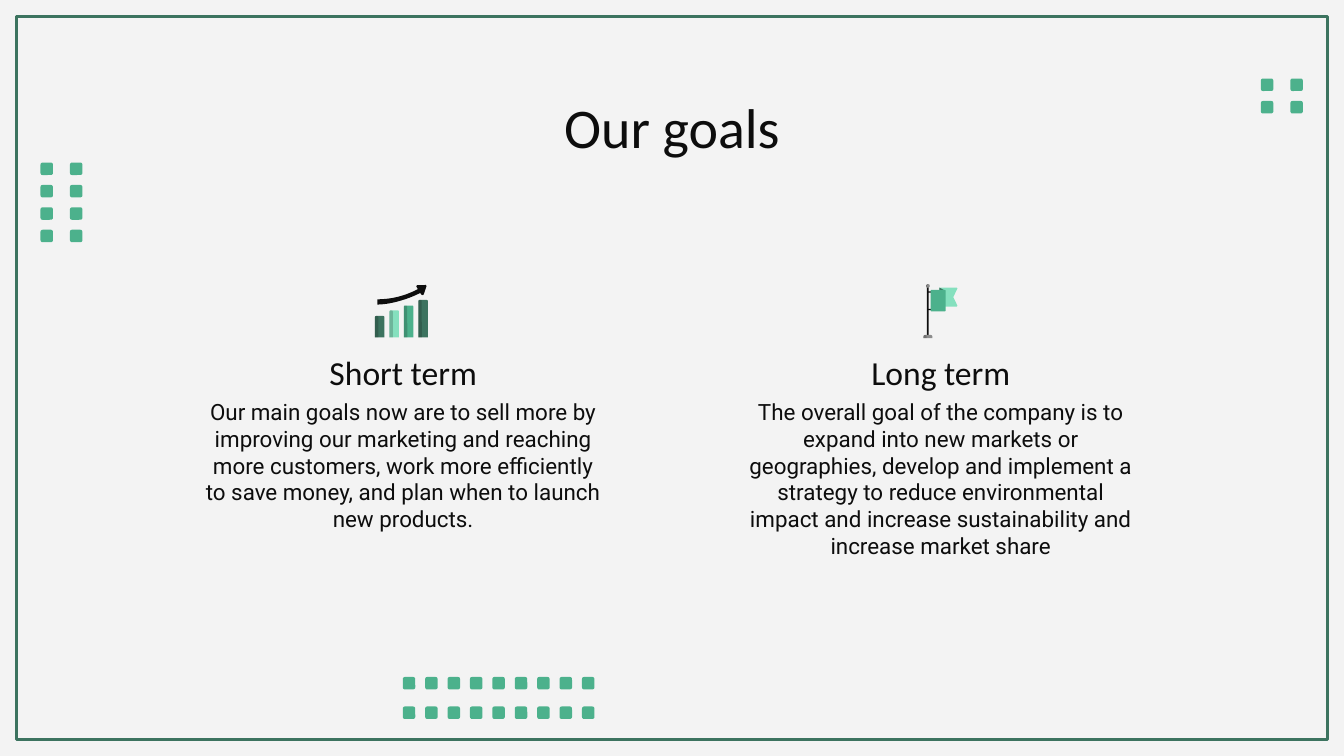
import pptx
import pptx.util
import pptx.dml.color
import pptx.enum.shapes
import pptx.enum.text
import pptx.oxml.ns
from lxml import etree

Pt = pptx.util.Pt
SHAPE = pptx.enum.shapes.MSO_SHAPE
ANCHOR = pptx.enum.text.MSO_ANCHOR

COLORS = {"paper": "F3F3F3", "ink": "0D0D0D", "green": "4CB18C",
          "dark": "3C735F", "mint": "85E0BE", "gray": "8C8C8C"}
TITLE = "Our goals"
GOALS = [
    ("Short term", "Our main goals now are to sell more by improving our marketing and reaching "
     "more customers, work more efficiently to save money, and plan when to launch new products."),
    ("Long term", "The overall goal of the company is to expand into new markets or geographies, "
     "develop and implement a strategy to reduce environmental impact and increase "
     "sustainability and increase market share"),
]
STYLES = {
    "title": {"size": Pt(30), "name": "Calibri"},
    "heading": {"size": Pt(18), "name": "Calibri"},
    "body": {"size": Pt(12), "name": "Roboto"},
}
DOT = 6.7
NARROW, WIDE = 12, 15.8
DOT_GRIDS = [
    (215.8, 362.7, 9, 2, NARROW, WIDE),
    (21.7, 87.1, 2, 4, WIDE, NARROW),
    (675.5, 42.1, 2, 2, WIDE, NARROW),
]
COLUMN_LEFT, COLUMN_STEP, COLUMN_WIDTH = 101.5, 288, 229

BARS = [(11.5, "dark"), (14.5, "mint"), (17.1, "green"), (20.1, "dark")]
BAR_LEFT, BAR_BOTTOM, BAR_STEP, BAR_WIDTH = 200.9, 180.8, 7.75, 5.1
ARROW_LOWER = [(202.1, 163.2), (208.2, 163.2), (217.2, 161), (225.1, 157)]
ARROW_UPPER = [(223.9, 154.9), (217.8, 158.2), (210.3, 160.4), (202.1, 160.4)]
ARROW_HEAD = [(225.9, 158), (226.6, 158.2), (227, 157.7), (228.5, 153.3), (228.2, 152.7),
              (223.4, 152.8), (223, 153.5)]

FLAG_TAIL = [(503.3, 154.1), (512.6, 154.1), (512.9, 154.6), (510.7, 159.2), (512.9, 163.8),
             (512.6, 164.3), (503.3, 164.3)]
FLAG_FOLD = [(503.3, 154.1), (503.3, 156.3), (506.3, 156.3), (506, 155.6)]
FLAG_PARTS = [
    (SHAPE.RECTANGLE, 496.9, 156.1, 2.2, 0.7, "ink", None, None),
    (SHAPE.RECTANGLE, 496.9, 165.5, 2.2, 0.7, "ink", None, None),
    (SHAPE.ROUNDED_RECTANGLE, 498.6, 155.3, 8, 11.5, "green", 0.06, None),
    (SHAPE.RECTANGLE, 496.6, 153.3, 0.9, 26.7, "ink", None, None),
    (SHAPE.ROUND_2_SAME_RECTANGLE, 494.7, 179.5, 4.8, 1.7, "gray", 0.5, None),
    (SHAPE.OVAL, 496.1, 152.2, 2, 2, "gray", None, None),
    (SHAPE.ROUND_2_SAME_RECTANGLE, 494.7, 179.5, 1.7, 1.7, "ink", 0.5, 20),
    (SHAPE.MOON, 496.1, 152.2, 1, 2, "ink", None, 20),
]

prs = pptx.Presentation()
prs.slide_width, prs.slide_height = Pt(720), Pt(405)
s = prs.slides.add_slide(prs.slide_layouts[5])


def rgb(color):
    return pptx.dml.color.RGBColor.from_string(COLORS[color])


def paint(sp, color, opacity=None):
    sp.shadow.inherit = False
    sp.line.fill.background()
    sp.fill.solid()
    sp.fill.fore_color.rgb = rgb(color)
    if opacity:
        node = sp.fill._xPr.find(".//" + pptx.oxml.ns.qn("a:srgbClr"))
        etree.SubElement(node, pptx.oxml.ns.qn("a:alpha"), val=str(opacity * 1000))


def add_block(shapes, kind, x, y, w, h, color, adjust=None, opacity=None):
    sp = shapes.add_shape(kind, Pt(x), Pt(y), Pt(w), Pt(h))
    if adjust is not None:
        sp.adjustments[0] = adjust
    paint(sp, color, opacity)


def add_outline(shapes, points, color):
    (x, y), *rest = [(x * 100, y * 100) for x, y in points]
    builder = shapes.build_freeform(x, y, scale=Pt(1) / 100)
    builder.add_line_segments(rest, close=True)
    paint(builder.convert_to_shape(), color)


def curve(points, steps=12):
    for i in range(steps + 1):
        t = i / steps
        weights = ((1 - t) ** 3, 3 * t * (1 - t) ** 2, 3 * t * t * (1 - t), t ** 3)
        yield tuple(sum(w * p[axis] for w, p in zip(weights, points)) for axis in (0, 1))


def write(sp, text, style, box, anchor=ANCHOR.TOP):
    for key, value in zip(("left", "top", "width", "height"), box):
        setattr(sp, key, Pt(value))
    tf = sp.text_frame
    layout = {"word_wrap": True, "auto_size": pptx.enum.text.MSO_AUTO_SIZE.NONE,
              "vertical_anchor": anchor}
    layout.update({f"margin_{side}": Pt(7.2) for side in ("left", "top", "right", "bottom")})
    for key, value in layout.items():
        setattr(tf, key, value)
    p = tf.paragraphs[0]
    p.alignment = pptx.enum.text.PP_ALIGN.CENTER
    r = p.add_run()
    r.text = text
    for key, value in STYLES[style].items():
        setattr(r.font, key, value)
    r.font.color.rgb = rgb("ink")


s.background.fill.solid()
s.background.fill.fore_color.rgb = rgb("paper")

for left, top, columns, rows, dx, dy in DOT_GRIDS:
    dots = s.shapes.add_group_shape().shapes
    for column in range(columns):
        for row in range(rows):
            add_block(dots, SHAPE.ROUNDED_RECTANGLE, left + column * dx, top + row * dy,
                      DOT, DOT, "green", 0.167)

frame = s.shapes.add_shape(SHAPE.RECTANGLE, Pt(8.8), Pt(8.8), Pt(702.4), Pt(387.4))
frame.shadow.inherit = False
frame.fill.background()
frame.line.color.rgb = rgb("dark")
frame.line.width = Pt(1.5)

write(s.shapes.title, TITLE, "title", (56.7, 42.3, 606.6, 45))
for i, (heading, body) in enumerate(GOALS):
    x = COLUMN_LEFT + i * COLUMN_STEP
    for text, style, y, h, anchor in ((body, "body", 206, 101, ANCHOR.TOP),
                                      (heading, "heading", 181.5, 36, ANCHOR.BOTTOM)):
        box = (x, y, COLUMN_WIDTH, h)
        write(s.shapes.add_textbox(0, 0, 0, 0), text, style, box, anchor)

flag = s.shapes.add_group_shape().shapes
add_outline(flag, FLAG_TAIL, "mint")
add_outline(flag, FLAG_FOLD, "dark")
for part in FLAG_PARTS:
    add_block(flag, *part)

growth = s.shapes.add_group_shape().shapes
for i, (h, color) in enumerate(BARS):
    x = BAR_LEFT + i * BAR_STEP
    for w, fill, opacity in ((BAR_WIDTH, color, None), (1.8, "ink", 20)):
        add_block(growth, SHAPE.ROUND_2_SAME_RECTANGLE, x, BAR_BOTTOM - h, w, h,
                  fill, 0.6 / w, opacity)
add_outline(growth, [*curve(ARROW_LOWER), *ARROW_HEAD, *curve(ARROW_UPPER)], "ink")

prs.save("out.pptx")
